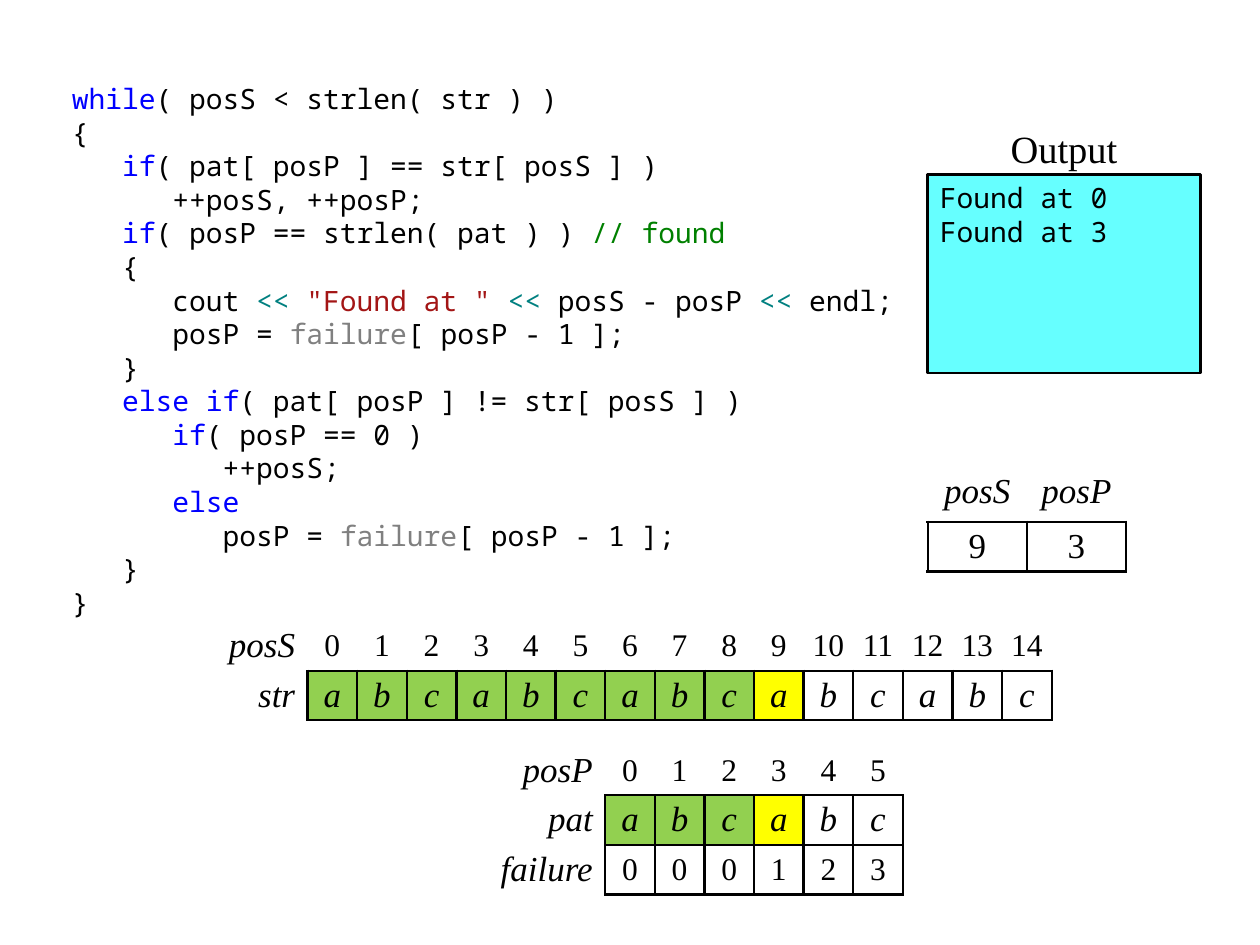
from dataclasses import dataclass

from lxml import etree
from pptx import Presentation
from pptx import util as u
from pptx.dml.color import RGBColor
from pptx.enum import shapes, text
from pptx.oxml import ns

BLACK = RGBColor(0x00, 0x00, 0x00)
WHITE = RGBColor(0xFF, 0xFF, 0xFF)
BLUE = RGBColor(0x00, 0x00, 0xFF)
GREEN = RGBColor(0x00, 0x80, 0x00)
TEAL = RGBColor(0x00, 0x80, 0x80)
RED = RGBColor(0xA3, 0x15, 0x15)
GREY = RGBColor(0x80, 0x80, 0x80)
CYAN = RGBColor(0x66, 0xFF, 0xFF)
LIME = RGBColor(0x92, 0xD0, 0x50)
YELLOW = RGBColor(0xFF, 0xFF, 0x00)

MONO = "Noto Sans Mono"
SERIF = "Times New Roman"
PLAIN = "{2D5ABB26-0587-4C30-8999-92F81FD0307C}"
LINE = u.Pt(1.5)
UNIT = u.Cm(1)

HUES = {
    "while": BLUE, "if": BLUE, "else": BLUE, "else if": BLUE,
    "// found": GREEN, "<<": TEAL, '"Found at "': RED, "failure": GREY,
}

CODE = """\
while|( posS < strlen( str ) )
{
   |if|( pat[ posP ] == str[ posS ] )
      ++posS, ++posP;
   |if|( posP == strlen( pat ) ) |// found
   {
      cout |<< |"Found at " |<< |posS - posP |<< |endl;
      posP = |failure|[ posP - 1 ];
   }
   |else if|( pat[ posP ] != str[ posS ] )
      |if|( posP == 0 )
         ++posS;
      |else
         posP = |failure|[ posP - 1 ];
   }
}"""


@dataclass
class Row:
    cells: list
    head: str = ""
    size: int = 20
    slant: bool = True
    boxed: bool = True
    done: int = 0
    now: int = -1
    high: bool = False


@dataclass
class Grid:
    left: float
    top: float
    rows: list
    head: float = 0
    wide: float = 1
    pad: float = 0.1


def span(n: float) -> int:
    return int(n * UNIT)


def add_run(par, words: str, face: str, size: int, hue=BLACK, slant=False) -> None:
    run = par.add_run()
    run.text = words
    font = run.font
    font.name, font.size, font.italic = face, u.Pt(size), slant
    font.color.rgb = hue


def add_code(frame, code: str) -> None:
    frame.word_wrap = True
    frame.vertical_anchor = text.MSO_ANCHOR.TOP
    for n, line in enumerate(code.split("\n")):
        par = frame.add_paragraph() if n else frame.paragraphs[0]
        par.alignment = text.PP_ALIGN.LEFT
        par.line_spacing = u.Pt(19.2)
        for part in filter(None, line.split("|")):
            add_run(par, part, MONO, 16, HUES.get(part.strip(), BLACK))


def add_edges(cell) -> None:
    props = cell._tc.get_or_add_tcPr()
    for n, side in enumerate(("lnL", "lnR", "lnT", "lnB")):
        edge = etree.Element(ns.qn(f"a:{side}"), w=str(LINE))
        fill = etree.SubElement(edge, ns.qn("a:solidFill"))
        etree.SubElement(fill, ns.qn("a:srgbClr"), val=str(BLACK))
        props.insert(n, edge)


def fill_cell(cell, words: str, row: Row, pad: float, is_head: bool) -> None:
    cell.margin_left = cell.margin_right = span(pad)
    cell.margin_top = cell.margin_bottom = 0
    cell.vertical_anchor = text.MSO_ANCHOR.TOP if row.high else text.MSO_ANCHOR.MIDDLE
    par = cell.text_frame.paragraphs[0]
    par.alignment = text.PP_ALIGN.RIGHT if is_head else text.PP_ALIGN.CENTER
    size, slant = (20, True) if is_head else (row.size, row.slant)
    add_run(par, words, SERIF, size, slant=slant)


def paint_cell(cell, n: int, row: Row) -> None:
    cell.fill.solid()
    cell.fill.fore_color.rgb = LIME if n < row.done else YELLOW if n == row.now else WHITE
    add_edges(cell)


def draw_grid(slide, grid: Grid) -> None:
    lead = 1 if grid.head else 0
    count = len(grid.rows[0].cells)
    width = grid.head + count * grid.wide
    frame = slide.shapes.add_table(
        len(grid.rows), lead + count, span(grid.left), span(grid.top),
        span(width), span(len(grid.rows)))
    table = frame.table
    table.first_row = table.horz_banding = False
    table._tbl.tblPr.find(ns.qn("a:tableStyleId")).text = PLAIN
    for n, col in enumerate(table.columns):
        col.width = span(grid.head if n < lead else grid.wide)
    for y, row in enumerate(grid.rows):
        table.rows[y].height = UNIT
        if lead:
            cell = table.cell(y, 0)
            fill_cell(cell, row.head, row, 0.25, True)
            cell.fill.background()
        for x, words in enumerate(row.cells):
            cell = table.cell(y, x + lead)
            fill_cell(cell, str(words), row, grid.pad, False)
            if row.boxed:
                paint_cell(cell, x, row)
            else:
                cell.fill.background()


def draw_code(slide) -> None:
    box = slide.shapes.add_textbox(span(1.2), span(1.52), span(17), span(11))
    box.text_frame.margin_right = span(0.1)
    add_code(box.text_frame, CODE)


def draw_output(slide) -> None:
    box = slide.shapes.add_shape(
        shapes.MSO_SHAPE.RECTANGLE, span(18.7), span(3.52), span(5.5), span(4))
    box.shadow.inherit = False
    box.fill.solid()
    box.fill.fore_color.rgb = CYAN
    box.line.color.rgb = BLACK
    box.line.width = LINE
    add_code(box.text_frame, "Found at 0\nFound at 3")

    title = slide.shapes.add_textbox(span(19.7), span(2.52), span(3.5), span(1))
    frame = title.text_frame
    frame.word_wrap = True
    frame.margin_top = 0
    par = frame.paragraphs[0]
    par.alignment = text.PP_ALIGN.CENTER
    add_run(par, "Output", SERIF, 22)


def index_row(head: str, count: int) -> Row:
    return Row(list(range(count)), head, 18, slant=False, boxed=False)


GRIDS = [
    Grid(4.2, 12.52, [
        index_row("posS", 15),
        Row(list("abc" * 5), "str", done=9, now=9),
    ], head=2),
    Grid(18.7, 9.52, [
        Row(["posS", "posP"], boxed=False, high=True),
        Row([9, 3], slant=False),
    ], wide=2),
    Grid(9.7, 15.03, [
        index_row("posP", 6),
        Row(list("abc" * 2), "pat", done=3, now=3),
        Row([0, 0, 0, 1, 2, 3], "failure", 18, slant=False),
    ], head=2.5, pad=0.25),
]


def main() -> None:
    deck = Presentation()
    deck.slide_width, deck.slide_height = u.Inches(10), u.Inches(7.5)
    slide = deck.slides.add_slide(deck.slide_layouts[6])
    draw_code(slide)
    for grid in GRIDS:
        draw_grid(slide, grid)
    draw_output(slide)
    deck.save("out.pptx")


if __name__ == "__main__":
    main()
